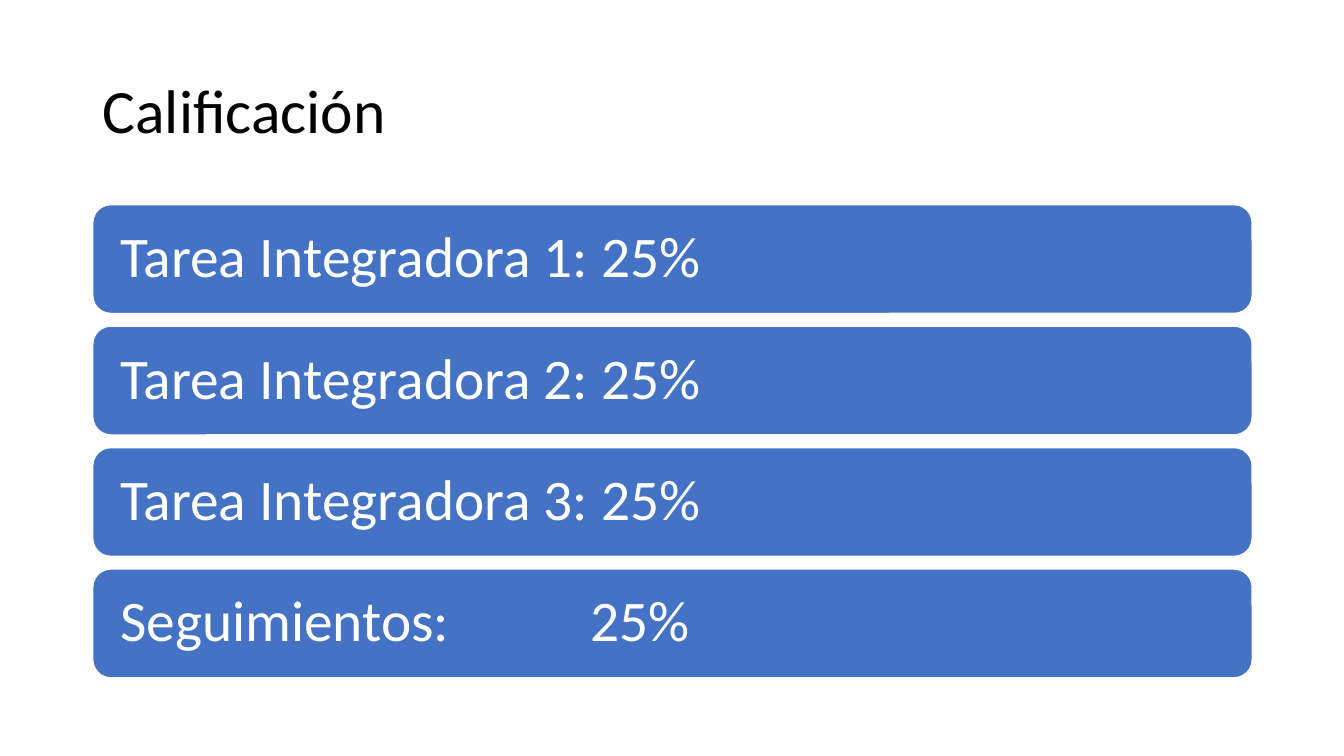
from lxml import etree
from pptx import Presentation
from pptx.dml.color import RGBColor
from pptx.enum.shapes import MSO_SHAPE
from pptx.enum.text import MSO_ANCHOR, PP_ALIGN
from pptx.oxml.ns import qn
from pptx.util import Inches, Pt

ROUND = MSO_SHAPE.ROUNDED_RECTANGLE
MIDDLE = MSO_ANCHOR.MIDDLE
LEFT = PP_ALIGN.LEFT

# Content
TITLE = "Calificación"
GRADES = [
    "Tarea Integradora 1: 25%",
    "Tarea Integradora 2: 25%",
    "Tarea Integradora 3: 25%",
    "Seguimientos:\t25%",
]


class Theme:
    font = "Calibri"
    ink = RGBColor(0x00, 0x00, 0x00)
    bar = RGBColor(0x44, 0x72, 0xC4)
    white = RGBColor(0xFF, 0xFF, 0xFF)
    title = Pt(44)
    body = Pt(41)
    edge = Pt(1)


# Grid: one column, equal rows
WIDE, HIGH = Inches(13.33), Inches(7.5)
SIDE = Inches(0.92)
SPAN = Inches(11.5)
HEAD, HEAD_H = Inches(0.4), Inches(1.45)
TOP = Inches(2.03)
BAR_H, GAP = Inches(1.08), Inches(0.125)
PAD = Inches(0.22)
TAB = Inches(4.66)


def write(shape, text, size, color, pad):
    frame = shape.text_frame
    frame.word_wrap = True
    frame.vertical_anchor = MIDDLE
    frame.margin_left = frame.margin_right = pad
    para = frame.paragraphs[0]
    para.alignment = LEFT
    para.line_spacing = 0.9
    run = para.add_run()
    run.text = text
    run.font.name = Theme.font
    run.font.size = size
    run.font.color.rgb = color
    return para


def add_tab(para):
    props = para._p.get_or_add_pPr()
    stops = etree.SubElement(props, qn("a:tabLst"))
    etree.SubElement(stops, qn("a:tab"), pos=str(TAB), algn="l")


def add_bar(slide, row, text):
    top = TOP + row * (BAR_H + GAP)
    bar = slide.shapes.add_shape(ROUND, SIDE, top, SPAN, BAR_H)
    bar.shadow.inherit = False
    bar.fill.solid()
    bar.fill.fore_color.rgb = Theme.bar
    bar.line.color.rgb = Theme.white
    bar.line.width = Theme.edge
    para = write(bar, text, Theme.body, Theme.white, PAD)
    if "\t" in text:
        add_tab(para)


def main():
    deck = Presentation()
    deck.slide_width, deck.slide_height = WIDE, HIGH
    slide = deck.slides.add_slide(deck.slide_layouts[6])

    # Title
    head = slide.shapes.add_textbox(SIDE, HEAD, SPAN, HEAD_H)
    write(head, TITLE, Theme.title, Theme.ink, Inches(0.1))

    # Grade bars
    for row, text in enumerate(GRADES):
        add_bar(slide, row, text)

    deck.save("out.pptx")


if __name__ == "__main__":
    main()
